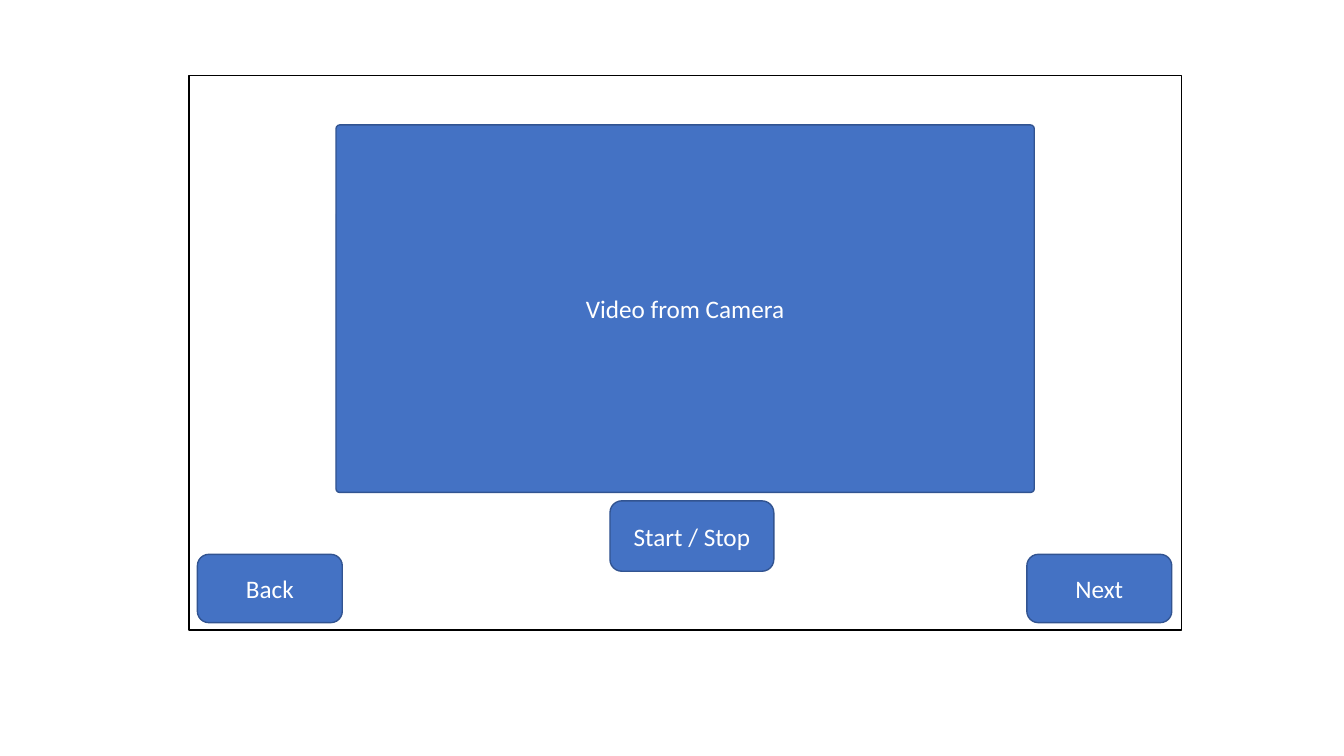
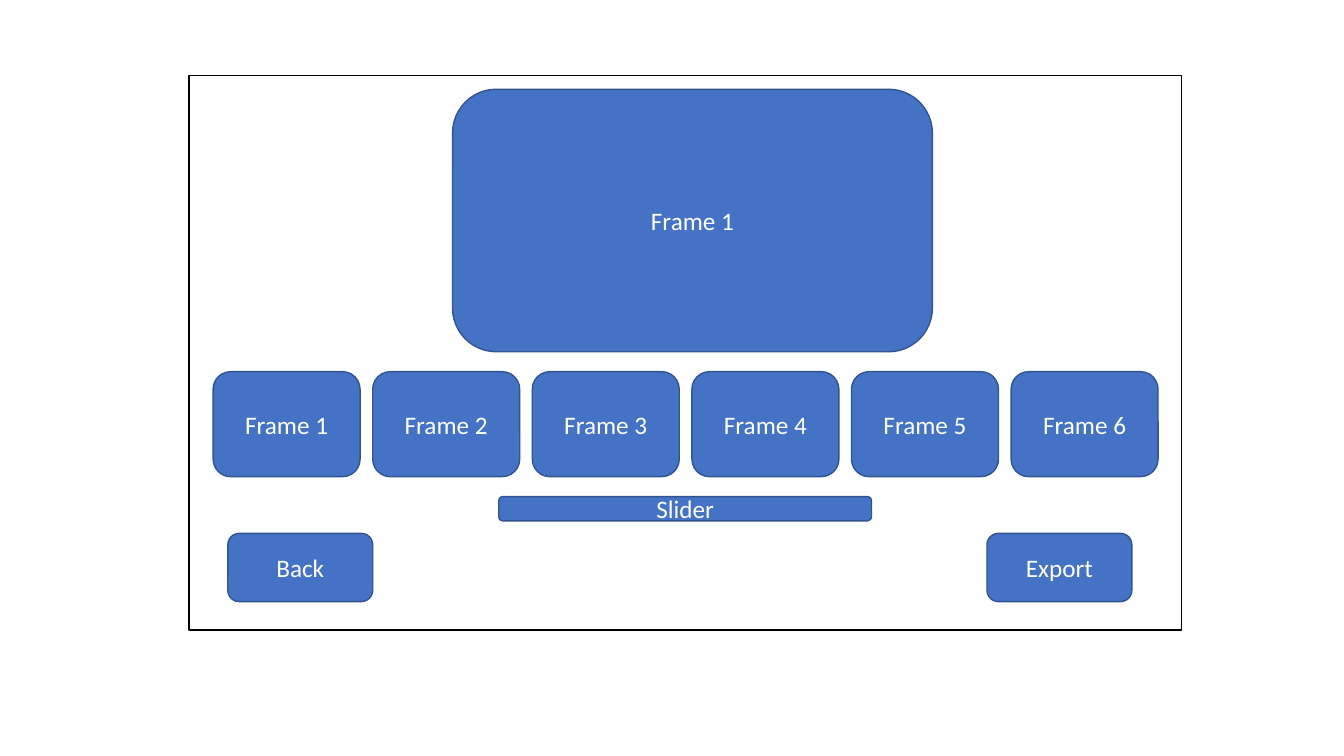
from pptx import Presentation
from pptx.dml.color import RGBColor
from pptx.enum import shapes, text
from pptx.util import Pt

PX = 9525
BLUE, EDGE, WHITE, BLACK = "4472C4", "325491", "FFFFFF", "000000"
KIND = shapes.MSO_SHAPE
FONT = {"name": "Calibri", "size": Pt(18)}


def tint(code):
    return RGBColor.from_string(code)


def draw(slide, kind, box, fill, edge, label="", round=None):
    shape = slide.shapes.add_shape(kind, *[n * PX for n in box])
    shape.shadow.inherit = False
    shape.fill.solid()
    shape.fill.fore_color.rgb = tint(fill)
    shape.line.color.rgb = tint(edge)
    shape.line.width = Pt(1)
    if round is not None:
        shape.adjustments[0] = round
    if label:
        frame = shape.text_frame
        frame.vertical_anchor = text.MSO_ANCHOR.MIDDLE
        para = frame.paragraphs[0]
        para.text = label
        para.alignment = text.PP_ALIGN.CENTER
        for key, value in FONT.items():
            setattr(para.font, key, value)
        para.font.color.rgb = tint(WHITE)


deck = Presentation()
deck.slide_width, deck.slide_height = 1280 * PX, 720 * PX

BUTTON = (138, 65)
camera = [
    ("Start / Stop", (581, 477, 156, 67), None),
    ("Back", (188, 528, *BUTTON), None),
    ("Video from Camera", (320, 119, 665, 350), 0.01),
    ("Next", (978, 528, *BUTTON), None),
]
editor = [
    (f"Frame {i + 1}", (203 + 152 * i, 354, 140, 100), None) for i in range(6)
] + [
    ("Export", (940, 508, *BUTTON), None),
    ("Slider", (475, 473, 355, 23), None),
    ("Frame 1", (431, 85, 457, 250), None),
    ("Back", (217, 508, *BUTTON), None),
]

for screen in (camera, editor):
    slide = deck.slides.add_slide(deck.slide_layouts[6])
    draw(slide, KIND.RECTANGLE, (180, 72, 945, 528), WHITE, BLACK)
    for label, box, round in screen:
        draw(slide, KIND.ROUNDED_RECTANGLE, box, BLUE, EDGE, label, round)

deck.save("out.pptx")
